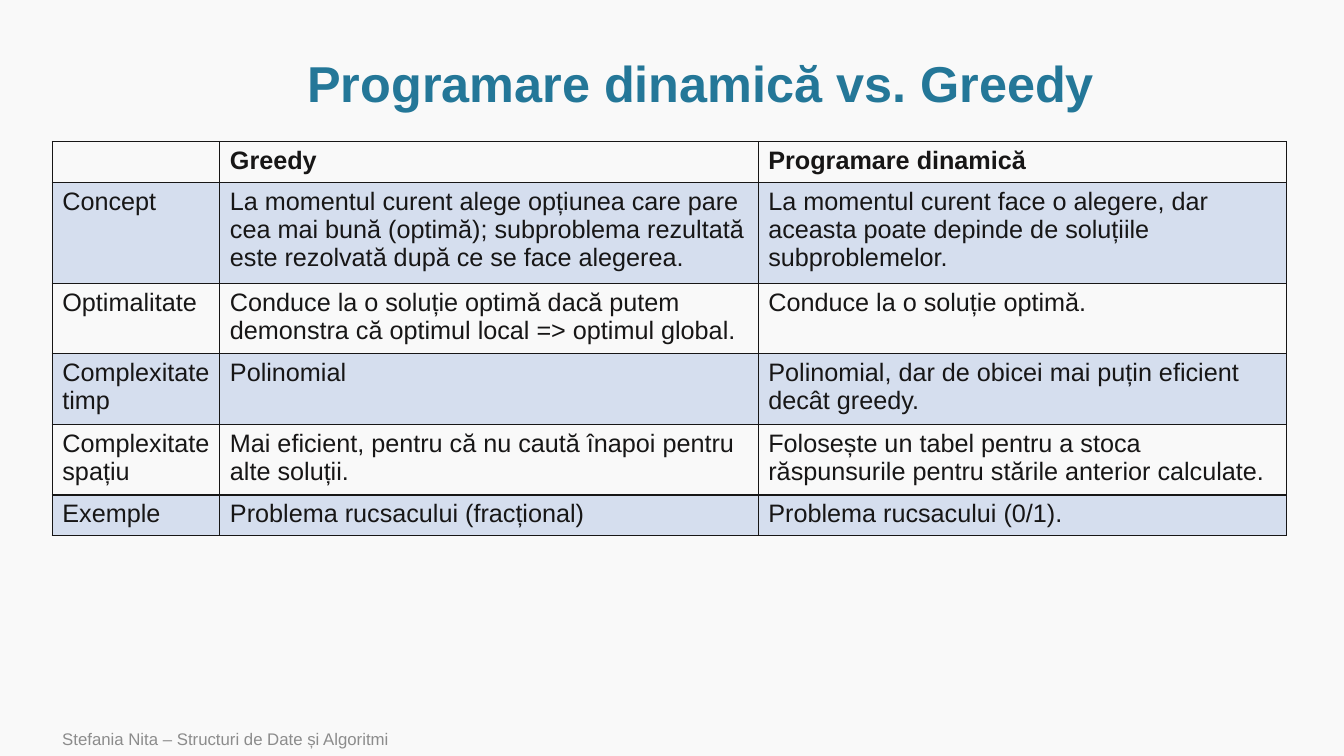
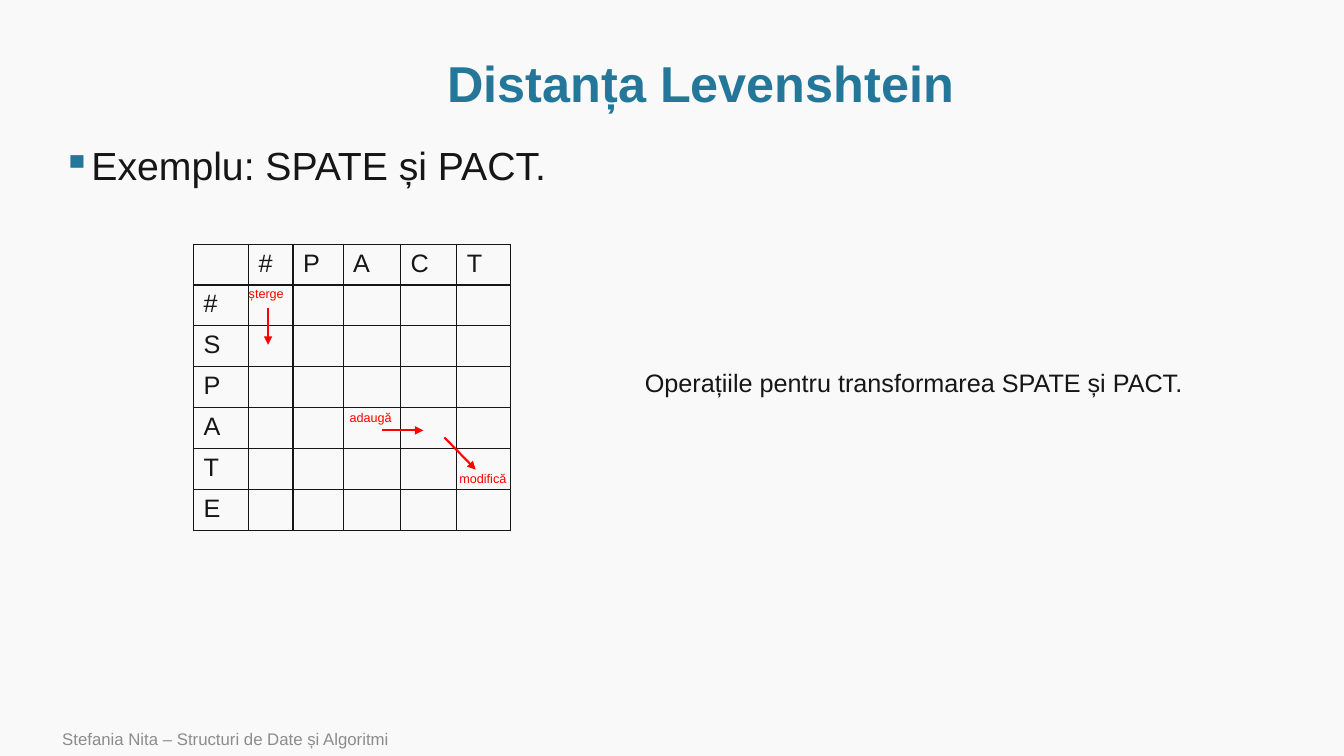
"""Build two slides on dynamic programming: a comparison table and an edit-distance grid."""
import pptx
import pptx.dml.color
import pptx.enum.shapes
import pptx.enum.text
import pptx.oxml
import pptx.oxml.ns
import pptx.util
from lxml import etree

Pt = pptx.util.Pt
RGB = pptx.dml.color.RGBColor.from_string
qn = pptx.oxml.ns.qn
ANCHOR = pptx.enum.text.MSO_ANCHOR
ALIGN = pptx.enum.text.PP_ALIGN

THEME = {
    "font": "Arial",
    "bg": "F9F9F9", "title": "247798", "text": "171616",
    "footer": "8C8C8C", "band": "D5DEEE", "mark": "FF0000",
    "title_size": 36, "body_size": 28, "text_size": 18,
    "footer_size": 12, "mark_size": 9,
    "border": 1, "arrow": 1.5, "row": 29.2,
}

SLIDE_SIZE = (960, 540)
TITLE_BOX = (82, 36.7, 837.4, 49.7)
FOOTER_BOX = (37.4, 515.5, 604.8, 24.5)
FOOTER = "Stefania Nita – Structuri de Date și Algoritmi"

COMPARISON_TITLE = "Programare dinamică vs. Greedy"
COMPARISON_AT = (37.4, 101)
COMPARISON_COLS = (119.7, 384.6, 377.2)
COMPARISON_HEIGHTS = (THEME["row"], 68, 47.4, 47.4, 47.4, THEME["row"])
COMPARISON = [
    ("", "Greedy", "Programare dinamică"),
    ("Concept",
     "La momentul curent alege opțiunea care pare cea mai bună (optimă); "
     "subproblema rezultată este rezolvată după ce se face alegerea.",
     "La momentul curent face o alegere, dar aceasta poate depinde de soluțiile subproblemelor."),
    ("Optimalitate",
     "Conduce la o soluție optimă dacă putem demonstra că optimul local => optimul global.",
     "Conduce la o soluție optimă."),
    ("Complexitate timp", "Polinomial",
     "Polinomial, dar de obicei mai puțin eficient decât greedy."),
    ("Complexitate spațiu",
     "Mai eficient, pentru că nu caută înapoi pentru alte soluții.",
     "Folosește un tabel pentru a stoca răspunsurile pentru stările anterior calculate."),
    ("Exemple", "Problema rucsacului (fracțional)", "Problema rucsacului (0/1)."),
]

DISTANCE_TITLE = "Distanța Levenshtein"
EXAMPLE = "Exemplu: SPATE și PACT."
EXAMPLE_BOX = (37.4, 101.4, 882, 394.6)
CAPTION = "Operațiile pentru transformarea SPATE și PACT."
CAPTION_BOX = (453.6, 258.6, 405.4, 29)
SOURCE_WORD, TARGET_WORD = "#SPATE", "#PACT"
GRID_AT = (138.2, 174.4)
GRID_COLS = (39.4, 31.8, 35.8, 41, 40.2, 38.4)
OPERATIONS = [
    ("șterge", (170.6, 200.9, 39.6, 18), (191.5, 220.3, 191.5, 246.2)),
    ("adaugă", (242.6, 289.4, 44.6, 18), (272.9, 307.4, 302.4, 307.4)),
    ("modifică", (321.1, 332.6, 48.2, 18), (317.5, 312.5, 339.8, 335.5)),
]


def style(p, size, color, bold=False):
    for r in p.runs:
        r.font.name = THEME["font"]
        r.font.size = Pt(THEME[size])
        r.font.bold = bold
        r.font.color.rgb = RGB(THEME[color])


def add_text(s, box, text, size, color, bold=False, anchor=ANCHOR.TOP, wrap=True, fit=False):
    tf = s.shapes.add_textbox(*map(Pt, box)).text_frame
    tf.word_wrap = wrap
    tf.vertical_anchor = anchor
    if fit:
        tf.auto_size = pptx.enum.text.MSO_AUTO_SIZE.SHAPE_TO_FIT_TEXT
    tf.text = text
    p = tf.paragraphs[0]
    style(p, size, color, bold)
    return p


def add_bullet(p, indent):
    pPr = p._p.get_or_add_pPr()
    pPr.set("marL", str(Pt(indent)))
    pPr.set("indent", str(-Pt(indent)))
    color = etree.SubElement(pPr, qn("a:buClr"))
    etree.SubElement(color, qn("a:srgbClr"), val=THEME["title"])
    etree.SubElement(pPr, qn("a:buChar"), char="▪")


def add_borders(cell):
    tcPr = cell._tc.get_or_add_tcPr()
    for side in ("a:lnL", "a:lnR", "a:lnT", "a:lnB"):
        ln = etree.SubElement(tcPr, qn(side), w=str(Pt(THEME["border"])))
        fill = etree.SubElement(ln, qn("a:solidFill"))
        etree.SubElement(fill, qn("a:srgbClr"), val=THEME["text"])


def add_table(s, at, cols, heights, rows, header=False, banded=False):
    size = (sum(cols), sum(heights))
    table = s.shapes.add_table(len(rows), len(cols), *map(Pt, at + size)).table
    table.first_row = header
    table.horz_banding = False
    for column, width in zip(table.columns, cols):
        column.width = Pt(width)
    for i, (row, height, texts) in enumerate(zip(table.rows, heights, rows)):
        row.height = Pt(height)
        for cell, text in zip(row.cells, texts):
            add_borders(cell)
            if banded and i % 2:
                cell.fill.solid()
                cell.fill.fore_color.rgb = RGB(THEME["band"])
            else:
                cell.fill.background()
            if text:
                cell.text_frame.text = text
                style(cell.text_frame.paragraphs[0], "text_size", "text", header and i == 0)


def add_arrow(s, ends):
    line = s.shapes.add_connector(pptx.enum.shapes.MSO_CONNECTOR.STRAIGHT, *map(Pt, ends))
    line.line.color.rgb = RGB(THEME["mark"])
    line.line.width = Pt(THEME["arrow"])
    etree.SubElement(line.line._get_or_add_ln(), qn("a:tailEnd"), type="triangle")
    etree.SubElement(line._element.spPr, qn("a:effectLst"))


def add_slide(prs, title):
    s = prs.slides.add_slide(prs.slide_layouts[6])
    s.background.fill.solid()
    s.background.fill.fore_color.rgb = RGB(THEME["bg"])
    p = add_text(s, TITLE_BOX, title, "title_size", "title", True, ANCHOR.MIDDLE)
    p.alignment = ALIGN.CENTER
    p.line_spacing = 0.9
    add_text(s, FOOTER_BOX, FOOTER, "footer_size", "footer", anchor=ANCHOR.MIDDLE)
    return s


def add_comparison(prs):
    s = add_slide(prs, COMPARISON_TITLE)
    add_table(s, COMPARISON_AT, COMPARISON_COLS, COMPARISON_HEIGHTS, COMPARISON,
              header=True, banded=True)


def add_distance(prs):
    s = add_slide(prs, DISTANCE_TITLE)
    p = add_text(s, EXAMPLE_BOX, EXAMPLE, "body_size", "text")
    add_bullet(p, 18)
    p.line_spacing = 0.9
    rows = [["", *TARGET_WORD]] + [[letter] + [""] * len(TARGET_WORD) for letter in SOURCE_WORD]
    add_table(s, GRID_AT, GRID_COLS, [THEME["row"]] * len(rows), rows)
    add_text(s, CAPTION_BOX, CAPTION, "text_size", "text", fit=True)
    for label, box, ends in OPERATIONS:
        add_arrow(s, ends)
        add_text(s, box, label, "mark_size", "mark", wrap=False, fit=True)


def main():
    prs = pptx.Presentation()
    prs.slide_width, prs.slide_height = map(Pt, SLIDE_SIZE)
    add_comparison(prs)
    add_distance(prs)
    prs.save("out.pptx")


if __name__ == "__main__":
    main()
